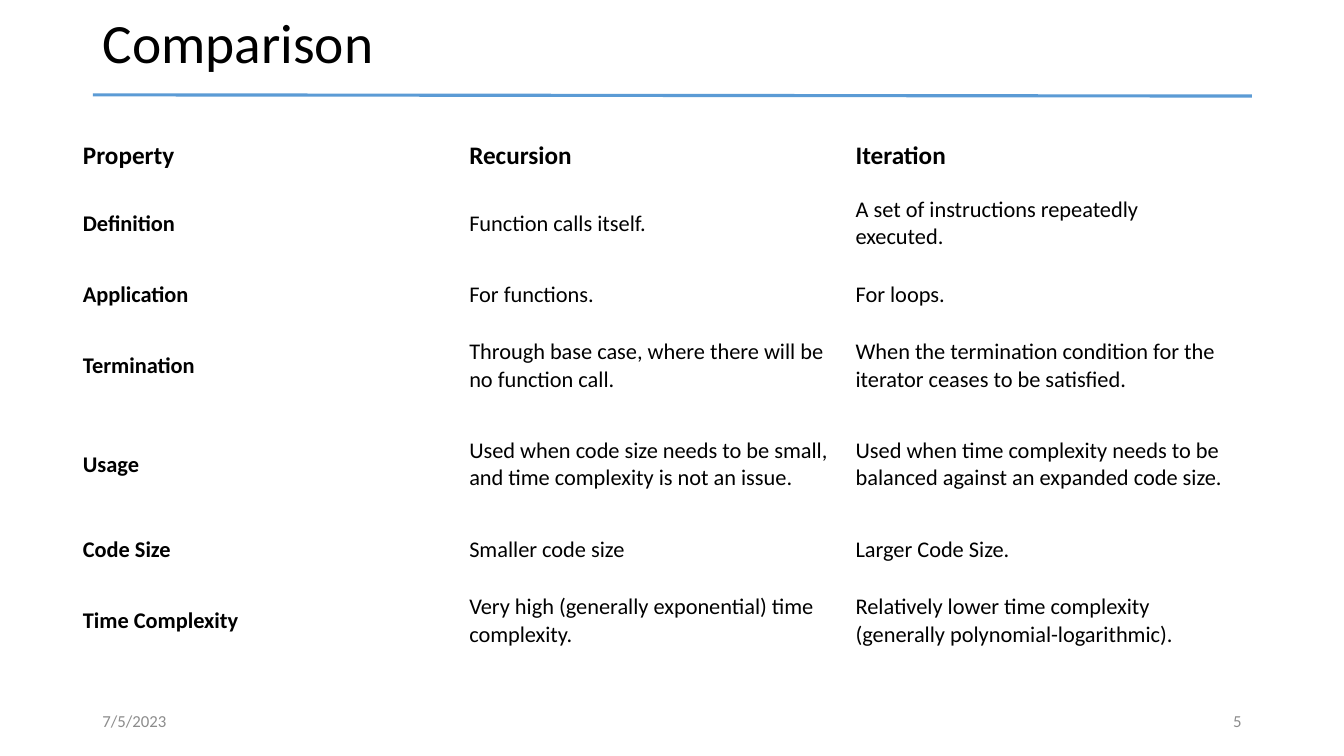
from lxml.etree import SubElement
from pptx import Presentation
from pptx.dml.color import RGBColor
from pptx.enum.shapes import MSO_CONNECTOR as Connector
from pptx.enum.text import MSO_ANCHOR as Anchor, MSO_AUTO_SIZE as AutoSize, PP_ALIGN as Align
from pptx.oxml.ns import qn
from pptx.util import Cm, Pt

COLORS = {"text": "000000", "muted": "8C8C8C", "rule": "5B9BD5", "cell": "FFFFFF"}

# Each row with the number of text lines it holds
HEADER = ("Property", "Recursion", "Iteration")
ROWS = [
    (2, "Definition", "Function calls itself.", "A set of instructions repeatedly executed."),
    (1, "Application", "For functions.", "For loops."),
    (2, "Termination", "Through base case, where there will be no function call.",
     "When the termination condition for the iterator ceases to be satisfied."),
    (3, "Usage", "Used when code size needs to be small, and time complexity is not an issue.",
     "Used when time complexity needs to be balanced against an expanded code size."),
    (1, "Code Size", "Smaller code size", "Larger Code Size."),
    (2, "Time Complexity", "Very high (generally exponential) time complexity.",
     "Relatively lower time complexity (generally polynomial-logarithmic)."),
]
HEADER_HEIGHT, LINE_HEIGHT = 1.28, 0.69
HEADER_PADDING, BODY_PADDING, SIDE_PADDING = 0.25, 0.38, 0.25


class ComparisonSlide:
    font_name = "Calibri"

    def __init__(self, presentation):
        self.slide = presentation.slides.add_slide(presentation.slide_layouts[5])

    def set_text(self, frame, text, size, color="text", bold=False, align=Align.LEFT):
        frame.text = text
        frame.word_wrap = True
        paragraph = frame.paragraphs[0]
        paragraph.alignment = align
        font = paragraph.font
        font.name, font.size, font.bold = self.font_name, Pt(size), bold
        font.color.rgb = RGBColor.from_string(COLORS[color])
        return paragraph

    def rule(self, x1, y1, x2, y2):
        line = self.slide.shapes.add_connector(Connector.STRAIGHT, Cm(x1), Cm(y1), Cm(x2), Cm(y2))
        line.line.color.rgb = RGBColor.from_string(COLORS["rule"])
        line.line.width = Pt(2.25)
        SubElement(line._element.spPr, qn("a:effectLst"))

    def title(self, text, left, top, width, height):
        shape = self.slide.shapes.title
        shape.left, shape.top, shape.width, shape.height = map(Cm, (left, top, width, height))
        paragraph = self.set_text(shape.text_frame, text, 39.6)
        paragraph.line_spacing = 0.9
        shape.text_frame.auto_size = AutoSize.NONE
        shape.text_frame.vertical_anchor = Anchor.MIDDLE

    def footer(self, text, left, align):
        shape = self.slide.shapes.add_textbox(Cm(left), Cm(17.65), Cm(7.62), Cm(1.01))
        self.set_text(shape.text_frame, text, 12, "muted", align=align)
        shape.text_frame.vertical_anchor = Anchor.MIDDLE

    def cell(self, cell, text, size, bold, padding):
        cell.fill.solid()
        cell.fill.fore_color.rgb = RGBColor.from_string(COLORS["cell"])
        cell.vertical_anchor = Anchor.MIDDLE
        cell.margin_left = cell.margin_right = Cm(SIDE_PADDING)
        cell.margin_top = cell.margin_bottom = Cm(padding)
        self.set_text(cell.text_frame, text, size, bold=bold)

    def table(self, left, top, width):
        heights = [HEADER_HEIGHT] + [lines * LINE_HEIGHT + 2 * BODY_PADDING for lines, *_ in ROWS]
        table = self.slide.shapes.add_table(
            len(heights), len(HEADER), Cm(left), Cm(top), Cm(width), Cm(sum(heights))).table
        table.first_row = table.horz_banding = False
        for row, height in zip(table.rows, heights):
            row.height = Cm(height)
        for column, text in enumerate(HEADER):
            self.cell(table.cell(0, column), text, 18, True, HEADER_PADDING)
        for row, (_, *texts) in enumerate(ROWS, start=1):
            for column, text in enumerate(texts):
                self.cell(table.cell(row, column), text, 16, column == 0, BODY_PADDING)


def main():
    presentation = Presentation()
    presentation.slide_width, presentation.slide_height = Cm(33.87), Cm(19.05)
    slide = ComparisonSlide(presentation)

    # Heading with its rule
    slide.rule(2.34, 2.39, 31.55, 2.42)
    slide.title("Comparison", 2.33, 0.28, 29.21, 1.75)

    # Comparison table
    slide.table(1.84, 3.28, 29.21)

    # Date and slide number
    slide.footer("7/5/2023", 2.33, Align.LEFT)
    slide.footer("5", 23.92, Align.RIGHT)

    presentation.save("out.pptx")


if __name__ == "__main__":
    main()
